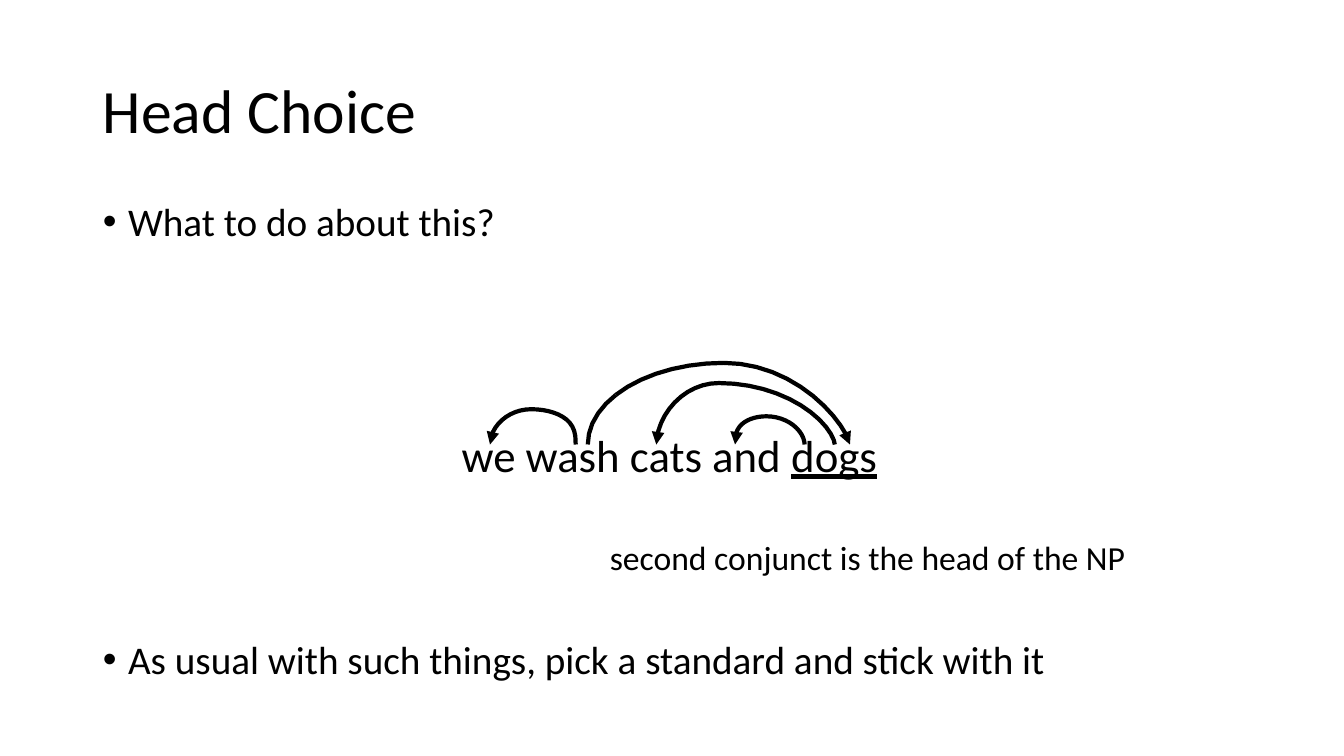
import dataclasses
import math

import pptx
import pptx.dml.color
import pptx.enum.text
import pptx.oxml
import pptx.oxml.ns
import pptx.util
import lxml.etree

Inches = pptx.util.Inches
Pt = pptx.util.Pt
PP = pptx.enum.text

COLORS = {"ink": "000000"}
MARGIN, CONTENT_WIDTH = 0.92, 11.5
BASELINE = 0.81  # where all arcs meet the words, in inches below the diagram's top
ARC_STEPS = 24


@dataclasses.dataclass
class Arc:
    """Arc from a head word to its dependent, in inches from the diagram's corner.

    A power below 1 makes that side bulge outwards, a power above 1 makes it slope.
    The joint is the step at which the stroke is lifted and begun again.
    """
    head: float
    dependent: float
    peak: float
    top: float
    head_power: float
    dependent_power: float
    joint: int = 0

    def point(self, step):
        angle = math.pi * step / ARC_STEPS
        near_head = angle < math.pi / 2
        foot = self.head if near_head else self.dependent
        power = self.head_power if near_head else self.dependent_power
        x = self.peak + (foot - self.peak) * abs(math.cos(angle))
        y = BASELINE - (BASELINE - self.top) * math.sin(angle) ** power
        return Inches(x), Inches(y)

    def strokes(self):
        points = [self.point(step) for step in range(ARC_STEPS + 1)]
        if self.joint:
            return [points[:self.joint + 1], points[self.joint:]]
        return [points]


ARCS = {
    "wash to we": Arc(1.23, 0.38, 0.79, 0.46, 0.7, 1.05),
    "wash to dogs": Arc(1.35, 3.95, 2.7, 0, 1, 1.5, joint=5),
    "dogs to cats": Arc(3.8, 2.03, 2.65, 0.2, 1.3, 1.1),
    "dogs to and": Arc(3.5, 2.81, 3.12, 0.53, 1.1, 0.7),
}


def rgb(name):
    return pptx.dml.color.RGBColor.from_string(COLORS[name])


def set_all(target, values):
    for name, value in values.items():
        setattr(target, name, value)


def place(shape, box):
    set_all(shape, dict(zip(("left", "top", "width", "height"), map(Inches, box))))


def add_span(para, text, size, underline=None):
    span = para.add_run()
    span.text = text
    set_all(span.font, {"name": "Calibri", "size": Pt(size), "underline": underline})
    span.font.color.rgb = rgb("ink")


def fill_title(page, box, text):
    title = page.shapes.title
    place(title, box)
    set_all(title.text_frame, {"auto_size": PP.MSO_AUTO_SIZE.NONE,
                               "vertical_anchor": PP.MSO_ANCHOR.MIDDLE})
    para = title.text_frame.paragraphs[0]
    set_all(para, {"alignment": PP.PP_ALIGN.LEFT, "line_spacing": 0.9})
    add_span(para, text, 44)


def fill_bullets(page, box, bullets):
    """Each bullet is a text and the space before it in points."""
    body = page.placeholders[1]
    place(body, box)
    frame = body.text_frame
    frame.auto_size = PP.MSO_AUTO_SIZE.NONE
    for index, (text, space) in enumerate(bullets):
        para = frame.add_paragraph() if index else frame.paragraphs[0]
        set_all(para, {"line_spacing": 0.8, "space_before": Pt(space)})
        add_span(para, text, 28)
        props = para._p.get_or_add_pPr()
        props.set("marL", str(Inches(0.25)))
        props.set("indent", str(-Inches(0.25)))


def add_label(page, box, spans, size):
    """Each span is a text and whether it is underlined."""
    label = page.shapes.add_textbox(*map(Inches, box))
    label.text_frame.word_wrap = False
    for text, underline in spans:
        add_span(label.text_frame.paragraphs[0], text, size, underline)


def add_stroke(page, left, top, points, arrow):
    builder = page.shapes.build_freeform(*points[0])
    builder.add_line_segments(points[1:], close=False)
    stroke = builder.convert_to_shape(Inches(left), Inches(top))
    stroke.shadow.inherit = False
    stroke.fill.background()
    stroke.line.color.rgb = rgb("ink")
    stroke.line.width = Pt(3)
    outline = stroke._element.find(".//" + pptx.oxml.ns.qn("a:ln"))
    lxml.etree.SubElement(outline, pptx.oxml.ns.qn("a:round"))
    if arrow:
        lxml.etree.SubElement(outline, pptx.oxml.ns.qn("a:tailEnd"), type="triangle")


def add_dependency_diagram(page, left, top):
    add_label(page, (left, top + 0.59, 4.37, 0.64),
              [("we wash cats and ", None), ("dogs", True)], 32)
    add_label(page, (left + 1.47, top + 1.68, 5.44, 0.5),
              [("second conjunct is the head of the NP", None)], 24)
    for arc in ARCS.values():
        *stems, last = arc.strokes()
        for stem in stems:
            add_stroke(page, left, top, stem, arrow=False)
        add_stroke(page, left, top, last, arrow=True)


def main():
    deck = pptx.Presentation()
    set_all(deck, {"slide_width": Inches(13.33), "slide_height": Inches(7.5)})
    page = deck.slides.add_slide(deck.slide_layouts[1])
    fill_title(page, (MARGIN, 0.4, CONTENT_WIDTH, 1.45), "Head Choice")
    fill_bullets(page, (MARGIN, 2, CONTENT_WIDTH, 5.18), [
        ("What to do about this?", 10),
        ("As usual with such things, pick a standard and stick with it", 286)])
    add_dependency_diagram(page, 4.48, 3.6)
    deck.save("out.pptx")


if __name__ == "__main__":
    main()
